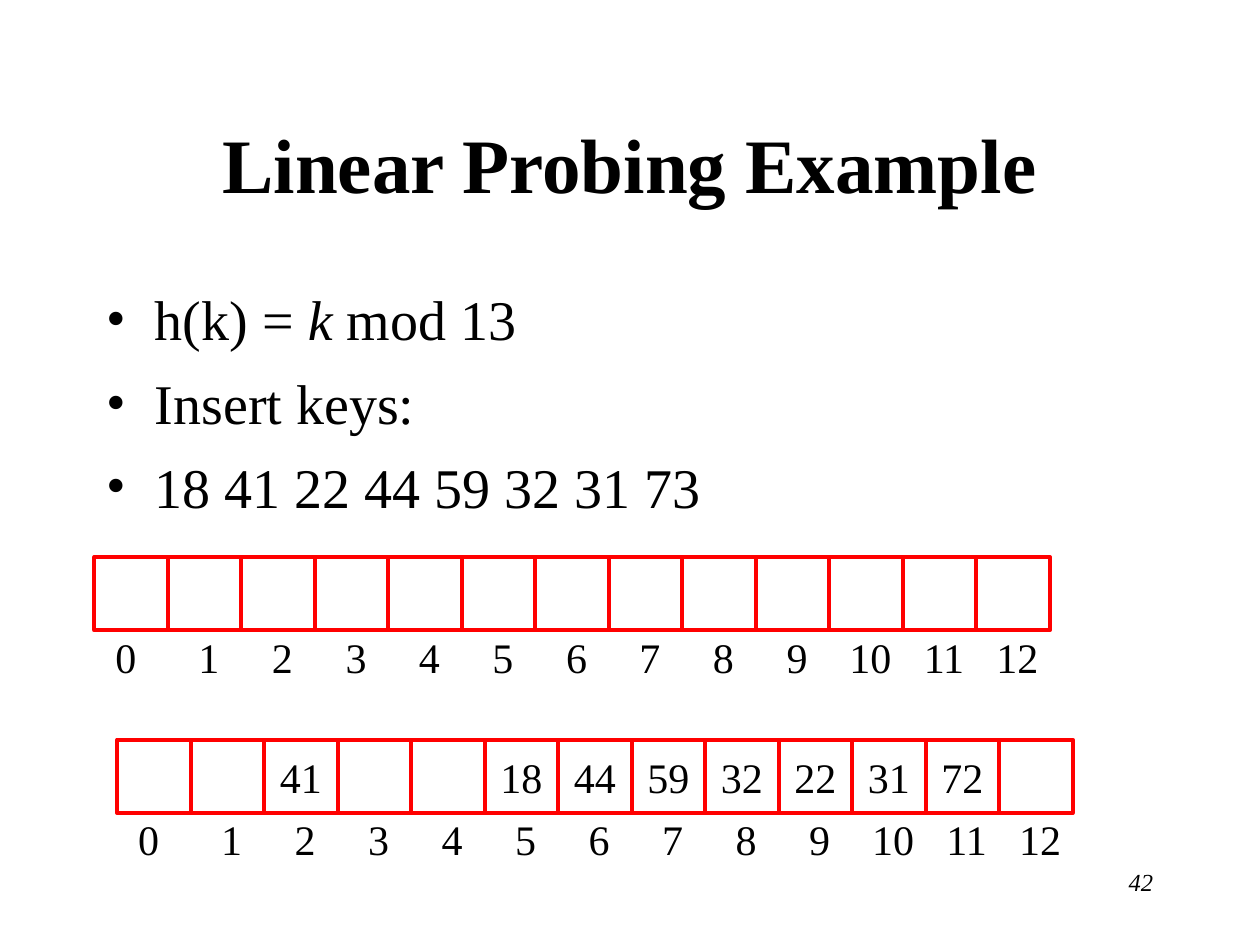
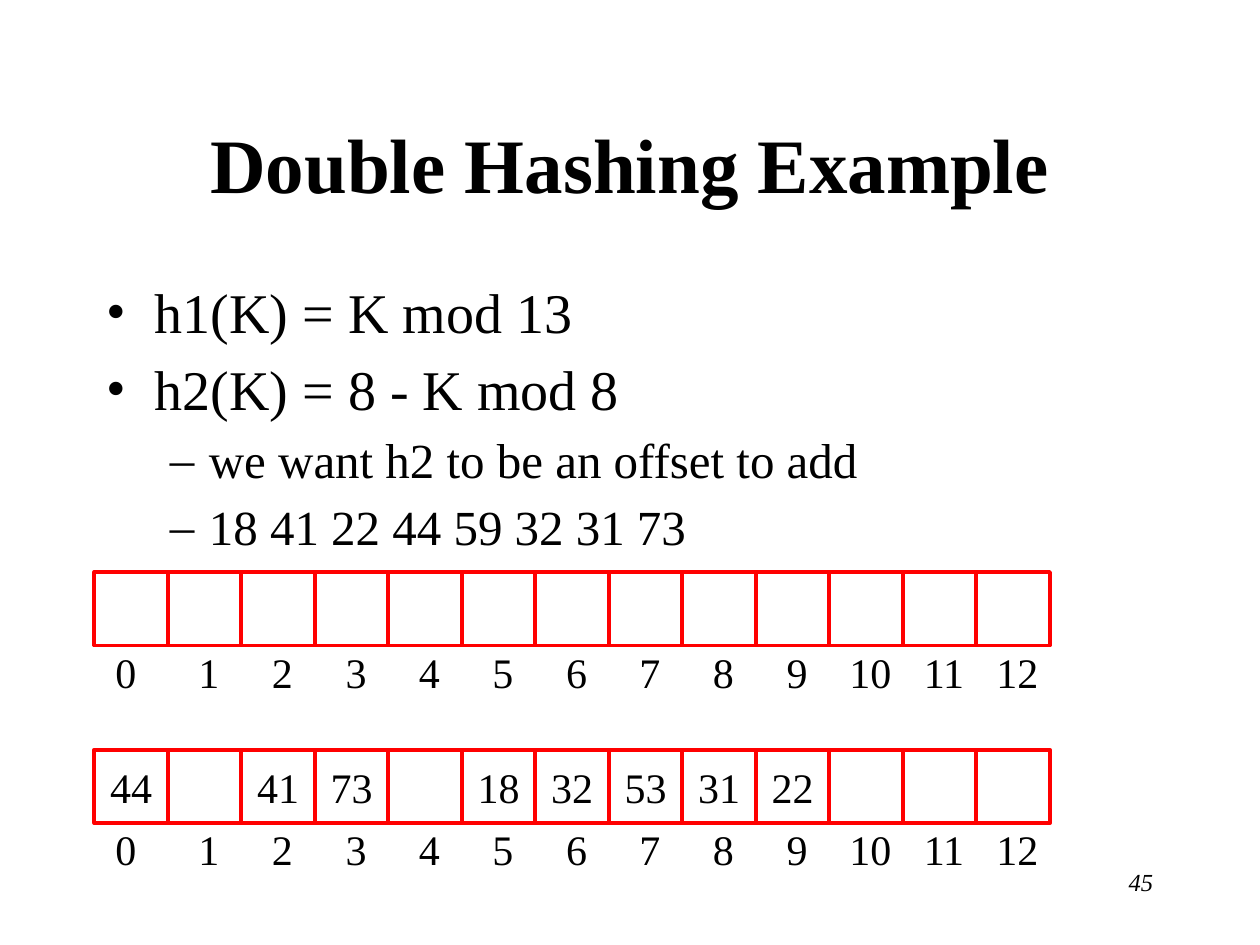
"""Build two slides of worked hash table examples."""
import dataclasses

import lxml.etree
import pptx
import pptx.dml.color
import pptx.enum.shapes
import pptx.enum.text
import pptx.oxml.ns
import pptx.util

Inches = pptx.util.Inches
Pt = pptx.util.Pt
RGBColor = pptx.dml.color.RGBColor
PP_ALIGN = pptx.enum.text.PP_ALIGN
MSO_ANCHOR = pptx.enum.text.MSO_ANCHOR


@dataclasses.dataclass(frozen=True)
class Theme:
    font: str = "Times New Roman"
    ink: RGBColor = RGBColor(0, 0, 0)
    cell_line: RGBColor = RGBColor(255, 0, 0)
    line_width: float = 2.25
    title: int = 44
    bullets: tuple = (32, 28)
    cell: int = 24
    number: int = 14


THEME = Theme()
SLOTS = 13
CELL = 7 / 12
FIRST_INDEX, SECOND_INDEX = 0.17, 0.83
BULLET_LEVELS = [
    {"mark": "•", "left": 0.38, "hang": 0.38, "before": 9.5},
    {"mark": "–", "left": 0.81, "hang": 0.31, "before": 8},
]

SLIDES = [
    {
        "title": "Linear Probing Example",
        "number": "42",
        "spacing": 1.0,
        "bullets": [
            (0, [("h(k) = ", False), ("k ", True), ("mod 13", False)]),
            (0, [("Insert keys:", False)]),
            (0, [("18 41 22 44 59 32 31 73", False)]),
        ],
        "tables": [
            (0.75, 4.42, {}),
            (0.93, 5.87, {2: 41, 5: 18, 6: 44, 7: 59, 8: 32, 9: 22, 10: 31, 11: 72}),
        ],
    },
    {
        "title": "Double Hashing Example",
        "number": "45",
        "spacing": 0.9,
        "bullets": [
            (0, [("h1(K) = K mod 13", False)]),
            (0, [("h2(K) = 8 - K mod 8", False)]),
            (1, [("we want h2 to be an offset to add", False)]),
            (1, [("18 41 22 44 59 32 31 73", False)]),
        ],
        "tables": [
            (0.75, 4.54, {}),
            (0.75, 5.95, {0: 44, 2: 41, 3: 73, 5: 18, 6: 32, 7: 53, 8: 31, 9: 22}),
        ],
    },
]


def add_run(p, text, size, bold=False, italic=False):
    """Append a run in the theme font."""
    r = p.add_run()
    r.text = text
    r.font.name = THEME.font
    r.font.size = Pt(size)
    r.font.bold = bold
    r.font.italic = italic
    r.font.color.rgb = THEME.ink


def add_element(parent, tag, **attrs):
    """Append a DrawingML element and return it."""
    el = lxml.etree.SubElement(parent, pptx.oxml.ns.qn(tag))
    for name, value in attrs.items():
        el.set(name, str(value))
    return el


def add_text_box(slide, left, top, width, height):
    """Add a wrapping text box and return its frame."""
    tf = slide.shapes.add_textbox(
        Inches(left), Inches(top), Inches(width), Inches(height)
    ).text_frame
    tf.word_wrap = True
    return tf


def set_title(slide, text):
    """Place and fill the title placeholder."""
    sp = slide.shapes.title
    sp.left, sp.top = Inches(0.75), Inches(0.67)
    sp.width, sp.height = Inches(8.5), Inches(1.25)
    tf = sp.text_frame
    tf.auto_size = pptx.enum.text.MSO_AUTO_SIZE.NONE
    tf.vertical_anchor = MSO_ANCHOR.MIDDLE
    p = tf.paragraphs[0]
    p.alignment = PP_ALIGN.CENTER
    add_run(p, text, THEME.title, bold=True)


def add_bullets(slide, bullets, spacing):
    """Add the two-level bullet list."""
    tf = add_text_box(slide, 0.75, 2.17, 8.5, 2.33)
    tf.margin_top = Inches(0.09)
    for i, (level, runs) in enumerate(bullets):
        p = tf.add_paragraph() if i else tf.paragraphs[0]
        style = BULLET_LEVELS[level]
        p.level = level
        p.line_spacing = spacing
        p.space_before = Pt(style["before"] if i else 0)
        pPr = p._p.get_or_add_pPr()
        pPr.set("marL", str(Inches(style["left"])))
        pPr.set("indent", str(-Inches(style["hang"])))
        add_element(pPr, "a:buFont", typeface=THEME.font)
        add_element(pPr, "a:buChar", char=style["mark"])
        for text, italic in runs:
            add_run(p, text, THEME.bullets[level], italic=italic)


def add_hash_table(slide, left, top, keys):
    """Draw a row of slots with their indexes below."""
    for slot in range(SLOTS):
        sp = slide.shapes.add_shape(
            pptx.enum.shapes.MSO_SHAPE.RECTANGLE,
            Inches(left + slot * CELL), Inches(top), Inches(CELL), Inches(CELL),
        )
        sp.shadow.inherit = False
        sp.fill.background()
        sp.line.color.rgb = THEME.cell_line
        sp.line.width = Pt(THEME.line_width)
        if slot in keys:
            tf = sp.text_frame
            tf.word_wrap = False
            tf.vertical_anchor = MSO_ANCHOR.MIDDLE
            p = tf.paragraphs[0]
            p.alignment = PP_ALIGN.CENTER
            add_run(p, str(keys[slot]), THEME.cell)

    tf = add_text_box(slide, left - 0.02, top + 0.54, 7.61, 0.5)
    tf.margin_right = 0
    p = tf.paragraphs[0]
    tabs = add_element(p._p.get_or_add_pPr(), "a:tabLst")
    for slot in range(SLOTS):
        stop = SECOND_INDEX + (slot - 1) * CELL if slot else FIRST_INDEX
        add_element(tabs, "a:tab", pos=Inches(stop), algn="ctr")
    add_run(p, "".join(f"\t{slot}" for slot in range(SLOTS)), THEME.cell)


def add_slide_number(slide, number):
    """Add the page number at lower right."""
    p = add_text_box(slide, 7.17, 6.83, 2.08, 0.5).paragraphs[0]
    p.alignment = PP_ALIGN.RIGHT
    add_run(p, number, THEME.number, italic=True)


def main():
    """Build and save the presentation."""
    prs = pptx.Presentation()
    prs.slide_width, prs.slide_height = Inches(10), Inches(7.5)
    for content in SLIDES:
        slide = prs.slides.add_slide(prs.slide_layouts.get_by_name("Title Only"))
        set_title(slide, content["title"])
        add_bullets(slide, content["bullets"], content["spacing"])
        for left, top, keys in content["tables"]:
            add_hash_table(slide, left, top, keys)
        add_slide_number(slide, content["number"])
    prs.save("out.pptx")


if __name__ == "__main__":
    main()
